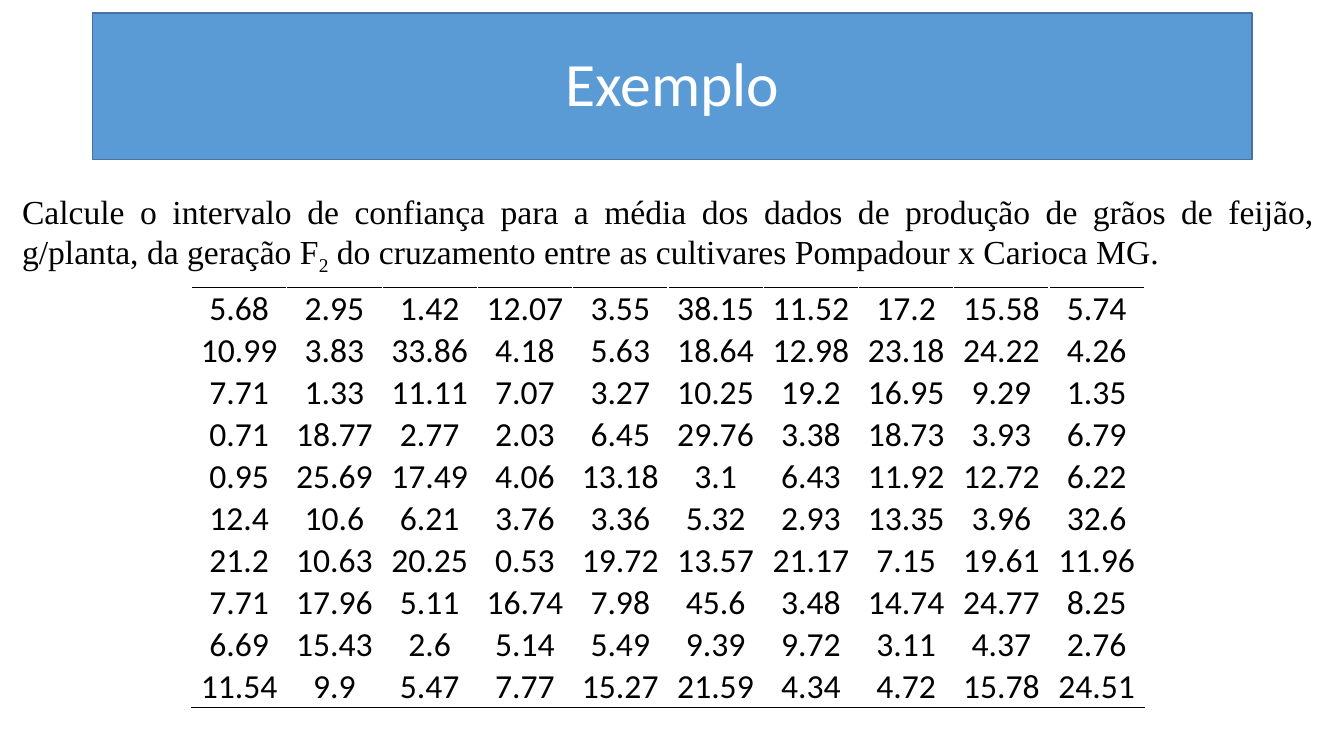
from lxml.etree import SubElement
from pptx import Presentation
from pptx.dml.color import RGBColor
from pptx.enum.shapes import MSO_SHAPE
from pptx.enum.text import MSO_ANCHOR, MSO_AUTO_SIZE, PP_ALIGN
from pptx.oxml.ns import qn
from pptx.util import Inches, Pt

BLUE = RGBColor(0x5B, 0x9B, 0xD5)
DARK_BLUE = RGBColor(0x43, 0x73, 0x9E)
WHITE = RGBColor(0xFF, 0xFF, 0xFF)
BLACK = RGBColor(0x00, 0x00, 0x00)

TITLE = "Exemplo"
QUESTION = [
    ("Calcule o intervalo de confiança para a média dos dados de produção de "
     "grãos de feijão, g/planta, da geração F", None),
    ("2", "-25000"),
    (" do cruzamento entre as cultivares Pompadour x Carioca MG.", None),
]
YIELDS = [
    "5.68 2.95 1.42 12.07 3.55 38.15 11.52 17.2 15.58 5.74",
    "10.99 3.83 33.86 4.18 5.63 18.64 12.98 23.18 24.22 4.26",
    "7.71 1.33 11.11 7.07 3.27 10.25 19.2 16.95 9.29 1.35",
    "0.71 18.77 2.77 2.03 6.45 29.76 3.38 18.73 3.93 6.79",
    "0.95 25.69 17.49 4.06 13.18 3.1 6.43 11.92 12.72 6.22",
    "12.4 10.6 6.21 3.76 3.36 5.32 2.93 13.35 3.96 32.6",
    "21.2 10.63 20.25 0.53 19.72 13.57 21.17 7.15 19.61 11.96",
    "7.71 17.96 5.11 16.74 7.98 45.6 3.48 14.74 24.77 8.25",
    "6.69 15.43 2.6 5.14 5.49 9.39 9.72 3.11 4.37 2.76",
    "11.54 9.9 5.47 7.77 15.27 21.59 4.34 4.72 15.78 24.51",
]
TITLE_FONT = {"name": "Calibri", "size": Pt(44)}
QUESTION_FONT = {"name": "Times New Roman", "size": Pt(24)}
YIELD_FONT = {"name": "Calibri", "size": Pt(24), "bold": False}
CELL_FORMAT = {
    "vertical_anchor": MSO_ANCHOR.MIDDLE,
    "margin_left": Inches(0.01),
    "margin_right": Inches(0.01),
    "margin_top": Inches(0.01),
    "margin_bottom": 0,
}


def set_all(target, values):
    for name, value in values.items():
        setattr(target, name, value)


def add_run(paragraph, text, font, color):
    run = paragraph.add_run()
    run.text = text
    set_all(run.font, font)
    run.font.color.rgb = color
    return run


def add_border(cell, side, color, width):
    line = SubElement(cell._tc.get_or_add_tcPr(), qn(f"a:ln{side}"), w=str(Pt(width)))
    fill = SubElement(line, qn("a:solidFill"))
    SubElement(fill, qn("a:srgbClr"), val=str(color))


def add_title(slide):
    shape = slide.shapes.add_shape(
        MSO_SHAPE.RECTANGLE, Inches(0.92), Inches(0.13), Inches(11.5), Inches(1.45))
    shape.shadow.inherit = False
    shape.fill.solid()
    shape.fill.fore_color.rgb = BLUE
    shape.line.color.rgb = DARK_BLUE
    shape.line.width = Pt(1)
    shape.text_frame.vertical_anchor = MSO_ANCHOR.MIDDLE
    paragraph = shape.text_frame.paragraphs[0]
    set_all(paragraph, {"alignment": PP_ALIGN.CENTER, "line_spacing": 0.9})
    add_run(paragraph, TITLE, TITLE_FONT, WHITE)


def add_yields(slide):
    rows = [line.split() for line in YIELDS]
    row_count, column_count = len(rows), len(rows[0])
    table = slide.shapes.add_table(
        row_count, column_count, Inches(1.9), Inches(2.85),
        Inches(9.45), Inches(4.08)).table
    set_all(table, {"first_row": False, "horz_banding": False})
    for row_index, row in enumerate(rows):
        is_first, is_last = row_index == 0, row_index == row_count - 1
        borders = {
            "L": (WHITE, 1),
            "R": (WHITE, 1),
            "T": (BLACK if is_first else WHITE, 1),
            "B": (BLACK if is_last else WHITE, 3 if is_first else 1),
        }
        for column_index, value in enumerate(row):
            cell = table.cell(row_index, column_index)
            set_all(cell, CELL_FORMAT)
            for side, (color, width) in borders.items():
                add_border(cell, side, color, width)
            cell.fill.solid()
            cell.fill.fore_color.rgb = WHITE
            paragraph = cell.text_frame.paragraphs[0]
            paragraph.alignment = PP_ALIGN.CENTER
            add_run(paragraph, value, YIELD_FONT, BLACK)


def add_question(slide):
    box = slide.shapes.add_textbox(
        Inches(0.12), Inches(1.84), Inches(13.01), Inches(1.31))
    set_all(box.text_frame, {
        "word_wrap": True, "auto_size": MSO_AUTO_SIZE.SHAPE_TO_FIT_TEXT})
    paragraph = box.text_frame.paragraphs[0]
    paragraph.alignment = PP_ALIGN.JUSTIFY
    for text, baseline in QUESTION:
        run = add_run(paragraph, text, QUESTION_FONT, BLACK)
        if baseline:
            run._r.get_or_add_rPr().set("baseline", baseline)


def main():
    presentation = Presentation()
    presentation.slide_width = Inches(13.33)
    presentation.slide_height = Inches(7.5)
    slide = presentation.slides.add_slide(presentation.slide_layouts[6])
    add_title(slide)
    add_yields(slide)
    add_question(slide)
    presentation.save("out.pptx")


if __name__ == "__main__":
    main()
